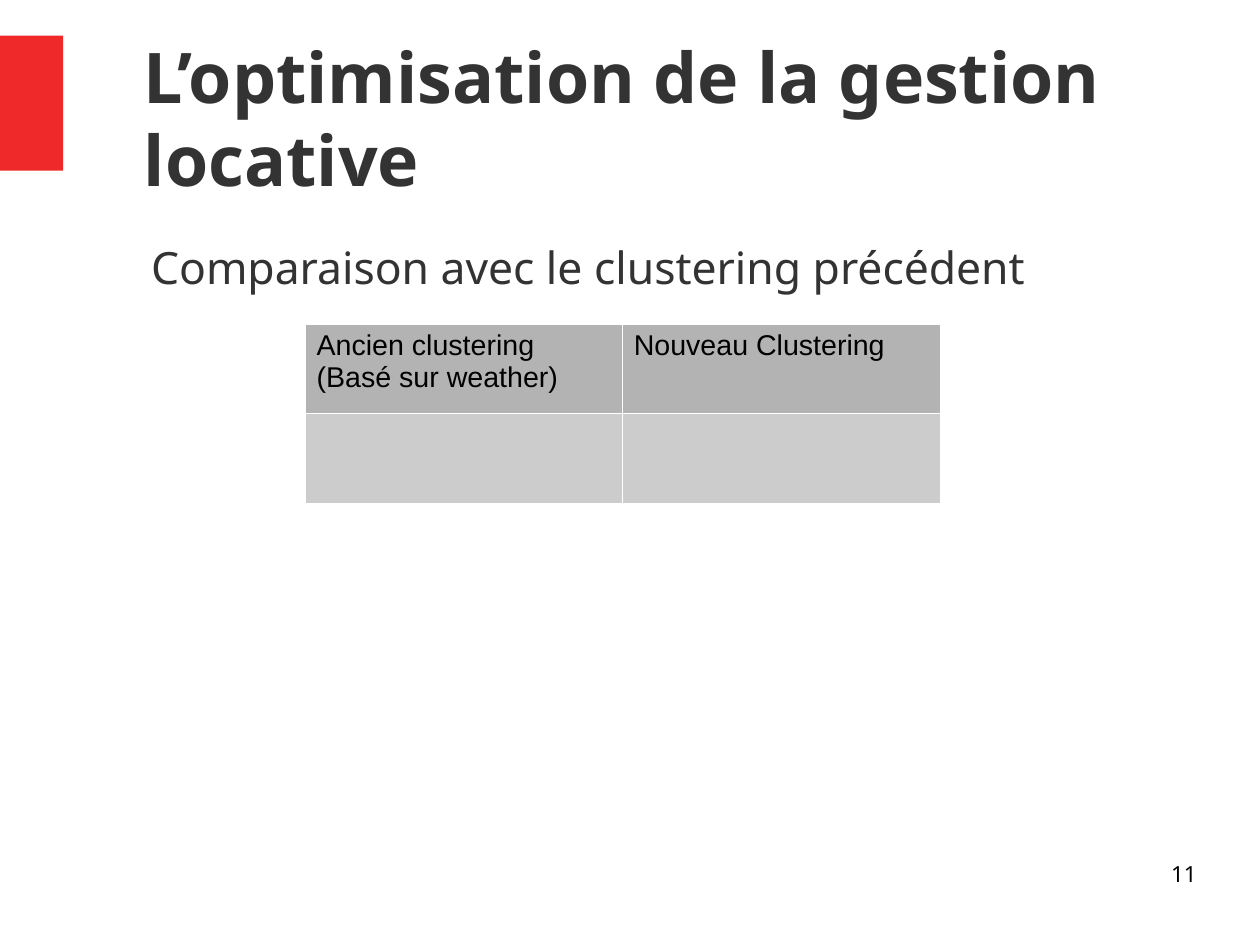
from pptx import Presentation
from pptx import util as u
from pptx.dml.color import RGBColor
from pptx.enum import shapes, text
from pptx.oxml import parse_xml
from pptx.oxml.ns import nsdecls

Pt = u.Pt


def colour(value):
    return RGBColor.from_string(value)


def write(frame, content, size=18, font="Noto Sans", ink="333333", bold=False,
          align=text.PP_ALIGN.LEFT, anchor=text.MSO_ANCHOR.TOP,
          indent=0, after=0):
    frame.word_wrap = True
    frame.vertical_anchor = anchor
    frame.margin_left = frame.margin_right = Pt(0)
    frame.margin_top = frame.margin_bottom = Pt(0)
    frame.text = content
    for line in frame.paragraphs:
        properties = line._p.get_or_add_pPr()
        properties.set("marL", str(Pt(indent)))
        properties.set("indent", "0")
        line.alignment = align
        line.line_spacing = 1.0
        line.space_before = Pt(0)
        line.space_after = Pt(after)
        for run in line.runs:
            run.font.size = Pt(size)
            run.font.name = font
            run.font.bold = bold
            run.font.color.rgb = colour(ink)


deck = Presentation()
deck.slide_width, deck.slide_height = Pt(793.7), Pt(595.28)
slide = deck.slides.add_slide(deck.slide_layouts[5])

# Red accent at the left edge
accent = slide.shapes.add_shape(shapes.MSO_SHAPE.RECTANGLE,
                                Pt(0), Pt(22.5), Pt(39.8), Pt(85))
accent.shadow.inherit = False
accent.fill.solid()
accent.fill.fore_color.rgb = colour("EF2929")
accent.line.fill.background()

# Title
title = slide.shapes.title
title.left, title.top, title.width, title.height = Pt(56.7), Pt(13.7), Pt(697), Pt(120)
write(title.text_frame, "L’optimisation de la gestion locative", size=44, bold=True,
      anchor=text.MSO_ANCHOR.MIDDLE, indent=34, after=14.1)

# Subtitle: its left edge lines up with the title text
subtitle = slide.shapes.add_textbox(Pt(61.2), Pt(151.5), Pt(680.4), Pt(345.6))
write(subtitle.text_frame, "Comparaison avec le clustering précédent",
      size=28, indent=34, after=14.1)

# Clustering comparison
rows = [
    ("B3B3B3", ["Ancien clustering\n(Basé sur weather)", "Nouveau Clustering"]),
    ("CCCCCC", ["", ""]),
]
comparison = slide.shapes.add_table(2, 2, Pt(192.4), Pt(204), Pt(399.6), Pt(113)).table
for row, (fill, labels) in enumerate(rows):
    for column, label in enumerate(labels):
        cell = comparison.cell(row, column)
        if label:
            write(cell.text_frame, label, font="Arial", ink="000000")
        cell.margin_left = cell.margin_right = Pt(7.1)
        cell.margin_top = cell.margin_bottom = Pt(3.6)
        for side in ("lnL", "lnR", "lnT", "lnB"):
            cell._tc.get_or_add_tcPr().append(parse_xml(
                f'<a:{side} {nsdecls("a")} w="{Pt(0.06)}"><a:solidFill>'
                f'<a:srgbClr val="FFFFFF"/></a:solidFill></a:{side}>'))
        cell.fill.solid()
        cell.fill.fore_color.rgb = colour(fill)

# Page number
page = slide.shapes.add_textbox(Pt(568.8), Pt(542.2), Pt(185), Pt(41))
write(page.text_frame, "11", size=14, ink="000000", align=text.PP_ALIGN.RIGHT)

deck.save("out.pptx")
